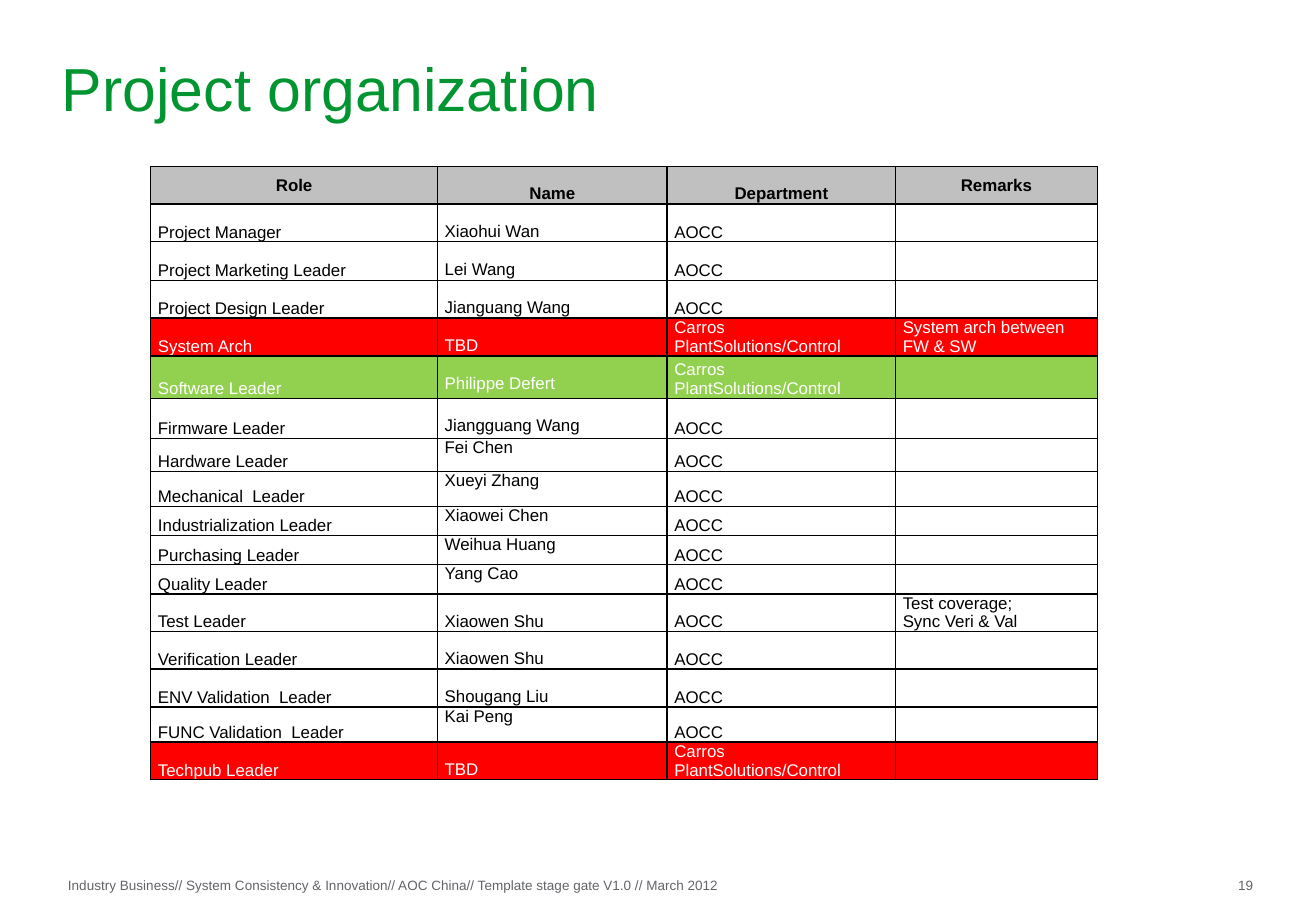
from dataclasses import dataclass

from lxml import etree
from pptx import Presentation
from pptx import util as u
from pptx.dml.color import RGBColor
from pptx.enum import text
from pptx.oxml import ns

FONT = "Arial"
BLACK, WHITE, GREY = "000000", "FFFFFF", "C0C0C0"
RED, LIME = "FF0000", "92D050"
TITLE_GREEN, FOOTER_GREY = "009530", "626469"
TOP, MIDDLE, BOTTOM = (text.MSO_ANCHOR.TOP, text.MSO_ANCHOR.MIDDLE,
                       text.MSO_ANCHOR.BOTTOM)
LINE_DROP = 0.15  # one text line, in inches
CARROS = "Carros PlantSolutions/Control"


@dataclass
class Member:
    role: str
    name: str
    height: float = 0.31
    department: str = "AOCC"
    remarks: str = ""
    fill: str = WHITE
    color: str = BLACK
    name_drop: float = LINE_DROP


@dataclass
class Label:
    words: str
    left: float
    width: float


MEMBERS = [
    Member("Project Manager", "Xiaohui Wan"),
    Member("Project Marketing Leader", "Lei Wang", 0.32),
    Member("Project Design Leader", "Jianguang Wang"),
    Member("System Arch", "TBD", 0.31, CARROS, "System arch between FW & SW",
           RED, WHITE),
    Member("Software Leader", "Philippe Defert", 0.35, CARROS, "", LIME, WHITE),
    Member("Firmware Leader", "Jiangguang Wang", 0.33),
    Member("Hardware Leader", "Fei Chen", 0.27, name_drop=0),
    Member("Mechanical  Leader", "Xueyi Zhang", 0.29, name_drop=0),
    Member("Industrialization Leader", "Xiaowei Chen", 0.24, name_drop=0),
    Member("Purchasing Leader", "Weihua Huang", 0.24, name_drop=0),
    Member("Quality Leader", "Yang Cao", 0.24, name_drop=0),
    Member("Test Leader", "Xiaowen Shu",
           remarks="Test coverage;\nSync Veri & Val"),
    Member("Verification Leader", "Xiaowen Shu"),
    Member("ENV Validation  Leader", "Shougang Liu"),
    Member("FUNC Validation  Leader", "Kai Peng", 0.29, name_drop=0),
    Member("Techpub Leader", "TBD", 0.31, CARROS, "", RED, WHITE),
]
HEADINGS = ["Role", "Name", "Department", "Remarks"]
HEADING_HEIGHT = 0.31
COLUMN_WIDTHS = [2.36, 1.89, 1.88, 1.66]
FOOTERS = [
    Label("Industry Business// System Consistency & Innovation// AOC China// "
          "Template stage gate V1.0 // March 2012", 0.56, 5.4),
    Label("19", 10.19, 0.34),
]


def rgb(color: str) -> RGBColor:
    return RGBColor.from_string(color)


def add_run(p, words: str, size: float, color: str, bold: bool = False) -> None:
    r = p.add_run()
    r.text = words
    r.font.name, r.font.size, r.font.bold = FONT, u.Pt(size), bold
    r.font.color.rgb = rgb(color)


def set_margins(tf, x: float, top: float, bottom: float) -> None:
    tf.margin_left = tf.margin_right = u.Inches(x)
    tf.margin_top, tf.margin_bottom = u.Inches(top), u.Inches(bottom)


def add_borders(cell) -> None:
    props = cell._tc.get_or_add_tcPr()
    for i, side in enumerate(("a:lnL", "a:lnR", "a:lnT", "a:lnB")):
        line = etree.Element(ns.qn(side), w=str(u.Pt(1)))
        fill = etree.SubElement(line, ns.qn("a:solidFill"))
        etree.SubElement(fill, ns.qn("a:srgbClr"), val=BLACK)
        props.insert(i, line)


def fill_cell(cell, words: str, fill: str, color: str, anchor,
              drop: float = 0, heading: bool = False) -> None:
    cell.fill.solid()
    cell.fill.fore_color.rgb = rgb(fill)
    add_borders(cell)
    set_margins(cell, 0.06, drop, 0)
    cell.vertical_anchor = anchor
    tf = cell.text_frame
    for i, line in enumerate(words.split("\n")):
        p = tf.add_paragraph() if i else tf.paragraphs[0]
        p.alignment = text.PP_ALIGN.CENTER if heading else text.PP_ALIGN.LEFT
        if line:
            add_run(p, line, 10, color, heading)
        else:  # keeps an empty cell from growing its row
            etree.SubElement(p._p, ns.qn("a:endParaRPr"), sz="1000")


def add_title(s) -> None:
    sp = s.shapes.title
    sp.left, sp.top = u.Inches(0.51), u.Inches(0.36)
    sp.width, sp.height = u.Inches(9.81), u.Inches(0.71)
    tf = sp.text_frame
    tf.auto_size = text.MSO_AUTO_SIZE.NONE
    tf.vertical_anchor = MIDDLE
    set_margins(tf, 0, 0.01, 0.01)
    p = tf.paragraphs[0]
    p.alignment = text.PP_ALIGN.LEFT
    add_run(p, "Project organization", 36, TITLE_GREEN)


def add_team_table(s) -> None:
    heights = [HEADING_HEIGHT] + [m.height for m in MEMBERS]
    frame = s.shapes.add_table(
        len(heights), len(COLUMN_WIDTHS), u.Inches(1.24), u.Inches(1.37),
        u.Inches(sum(COLUMN_WIDTHS)), u.Inches(sum(heights)))
    table = frame.table
    table.horz_banding = False
    for column, width in zip(table.columns, COLUMN_WIDTHS):
        column.width = u.Inches(width)
    for row, height in zip(table.rows, heights):
        row.height = u.Inches(height)

    # Heading row: the inner headings sit one line lower
    for col, heading in enumerate(HEADINGS):
        inner = col in (1, 2)
        fill_cell(table.cell(0, col), heading, GREY, BLACK,
                  TOP if inner else MIDDLE, LINE_DROP if inner else 0, True)

    # Team rows: names hang from the top, the rest sits on the bottom
    for row, m in enumerate(MEMBERS, start=1):
        for col, words in enumerate((m.role, m.name, m.department, m.remarks)):
            is_name = col == 1
            fill_cell(table.cell(row, col), words, m.fill, m.color,
                      TOP if is_name else BOTTOM, m.name_drop if is_name else 0)


def add_footer(s, label: Label) -> None:
    sp = s.shapes.add_textbox(u.Inches(label.left), u.Inches(7.22),
                              u.Inches(label.width), u.Inches(0.13))
    tf = sp.text_frame
    tf.word_wrap = False
    set_margins(tf, 0, 0, 0)
    add_run(tf.paragraphs[0], label.words, 8, FOOTER_GREY)


def main() -> None:
    prs = Presentation()
    prs.slide_width, prs.slide_height = u.Inches(10.83), u.Inches(7.5)
    s = prs.slides.add_slide(prs.slide_layouts[5])
    add_title(s)
    add_team_table(s)
    for label in FOOTERS:
        add_footer(s, label)
    prs.save("out.pptx")


if __name__ == "__main__":
    main()
